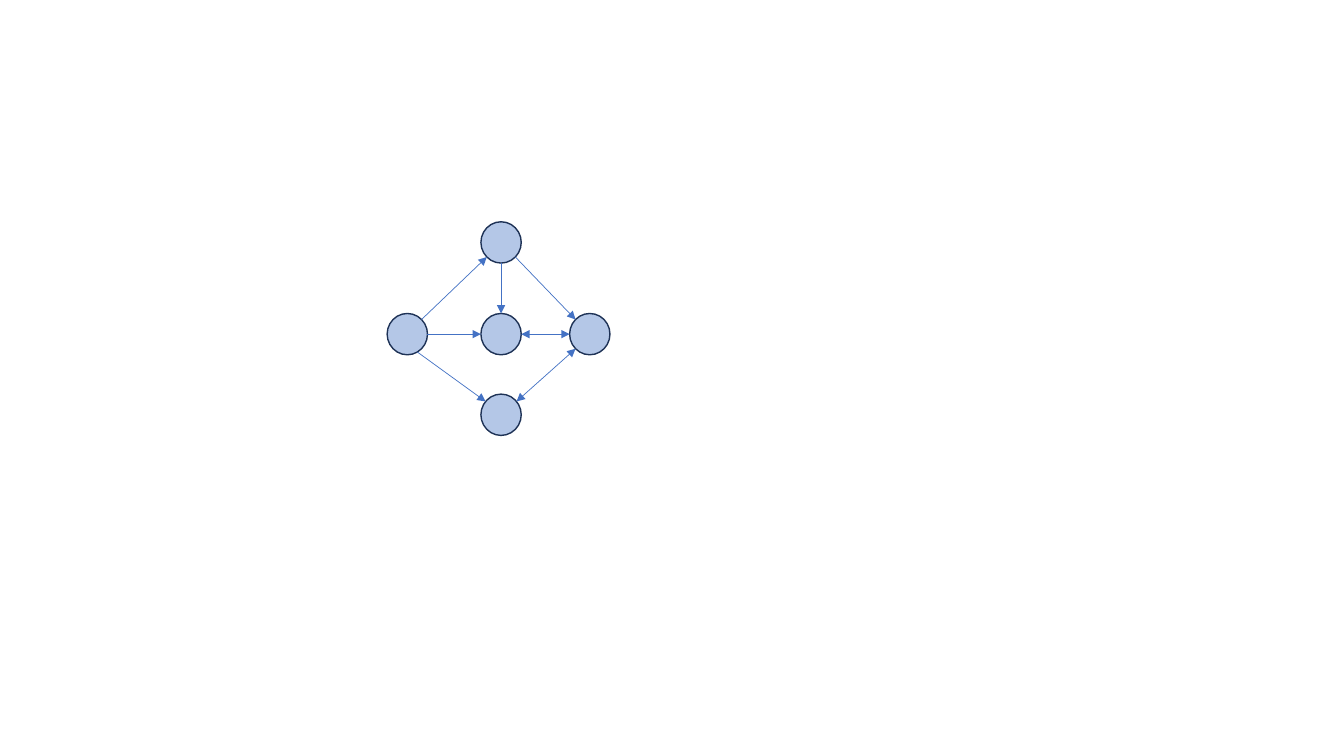
"""Build a slide with a small directed graph of five nodes."""
import math

import pptx
import pptx.dml.color
import pptx.enum.shapes
import pptx.oxml
import pptx.oxml.ns
import pptx.util

Inches = pptx.util.Inches
NODE_FILL = pptx.dml.color.RGBColor(0xB4, 0xC7, 0xE7)
NODE_LINE = pptx.dml.color.RGBColor(0x1E, 0x32, 0x56)
EDGE_LINE = pptx.dml.color.RGBColor(0x44, 0x72, 0xC4)

NODE_WIDTH, NODE_HEIGHT = 0.4, 0.41
NODES = {
    "top": (0.93, 0),
    "left": (0, 0.91),
    "middle": (0.93, 0.91),
    "right": (1.81, 0.91),
    "bottom": (0.93, 1.71),
}
# Each edge: start node, clockwise angle, end node, angle, arrow at both ends.
EDGES = [
    ("left", 315, "top", 135, False),
    ("top", 90, "middle", 270, False),
    ("top", 45, "right", 225, False),
    ("left", 0, "middle", 180, False),
    ("middle", 0, "right", 180, True),
    ("left", 60, "bottom", 220, False),
    ("right", 135, "bottom", 320, True),
]


def add_node(group, left, top):
    """Draw one round node."""
    node = group.shapes.add_shape(
        pptx.enum.shapes.MSO_SHAPE.OVAL,
        Inches(left), Inches(top), Inches(NODE_WIDTH), Inches(NODE_HEIGHT),
    )
    node.shadow.inherit = False
    node.fill.solid()
    node.fill.fore_color.rgb = NODE_FILL
    node.line.color.rgb = NODE_LINE
    node.line.width = pptx.util.Pt(1)


def rim_point(left, top, angle):
    """Return the point on a node's rim at a clockwise angle in degrees."""
    turn = math.radians(angle)
    return (
        Inches(left + NODE_WIDTH / 2 * (1 + math.cos(turn))),
        Inches(top + NODE_HEIGHT / 2 * (1 + math.sin(turn))),
    )


def add_edge(group, start, end, both_ways):
    """Draw one arrow between two points."""
    edge = group.shapes.add_connector(
        pptx.enum.shapes.MSO_CONNECTOR.STRAIGHT, *start, *end
    )
    edge.line.color.rgb = EDGE_LINE
    edge.line.width = pptx.util.Pt(0.5)
    outline = edge.line._get_or_add_ln()
    for tag in ("a:headEnd", "a:tailEnd") if both_ways else ("a:tailEnd",):
        arrowhead = pptx.oxml.xmlchemy.OxmlElement(tag)
        arrowhead.set("type", "triangle")
        outline.append(arrowhead)
    effects = pptx.oxml.xmlchemy.OxmlElement("a:effectLst")
    edge._element.spPr.append(effects)


def add_graph(page, left, top):
    """Draw the grouped graph from its top-left corner."""
    group = page.shapes.add_group_shape()
    places = {name: (left + x, top + y) for name, (x, y) in NODES.items()}
    for place in places.values():
        add_node(group, *place)
    for source, leave, target, arrive, both_ways in EDGES:
        start = rim_point(*places[source], leave)
        end = rim_point(*places[target], arrive)
        add_edge(group, start, end, both_ways)


def main():
    """Create and save the deck."""
    deck = pptx.Presentation()
    deck.slide_width = Inches(13.33)
    deck.slide_height = Inches(7.5)
    page = deck.slides.add_slide(deck.slide_layouts[6])
    add_graph(page, 3.84, 2.2)
    deck.save("out.pptx")


if __name__ == "__main__":
    main()
